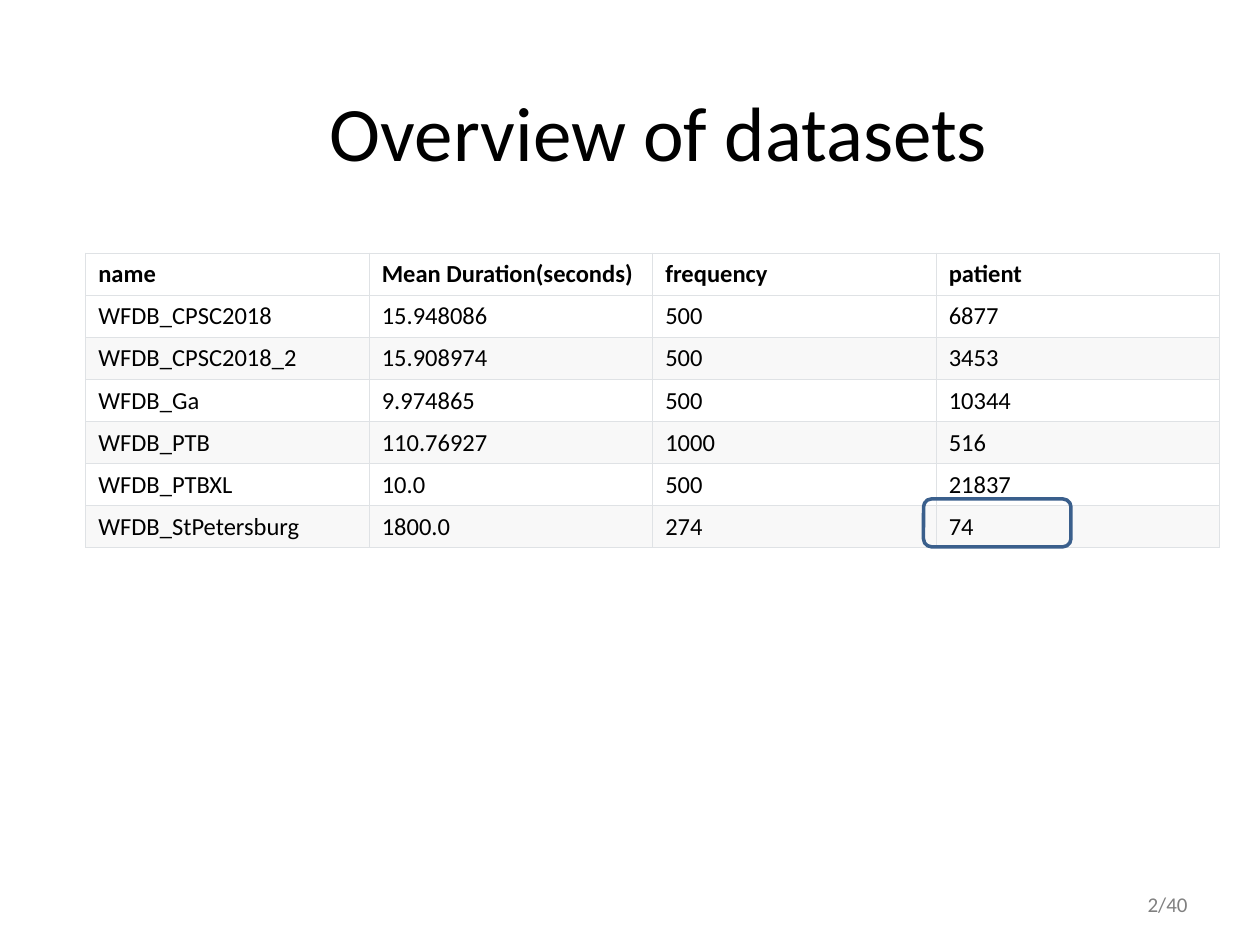
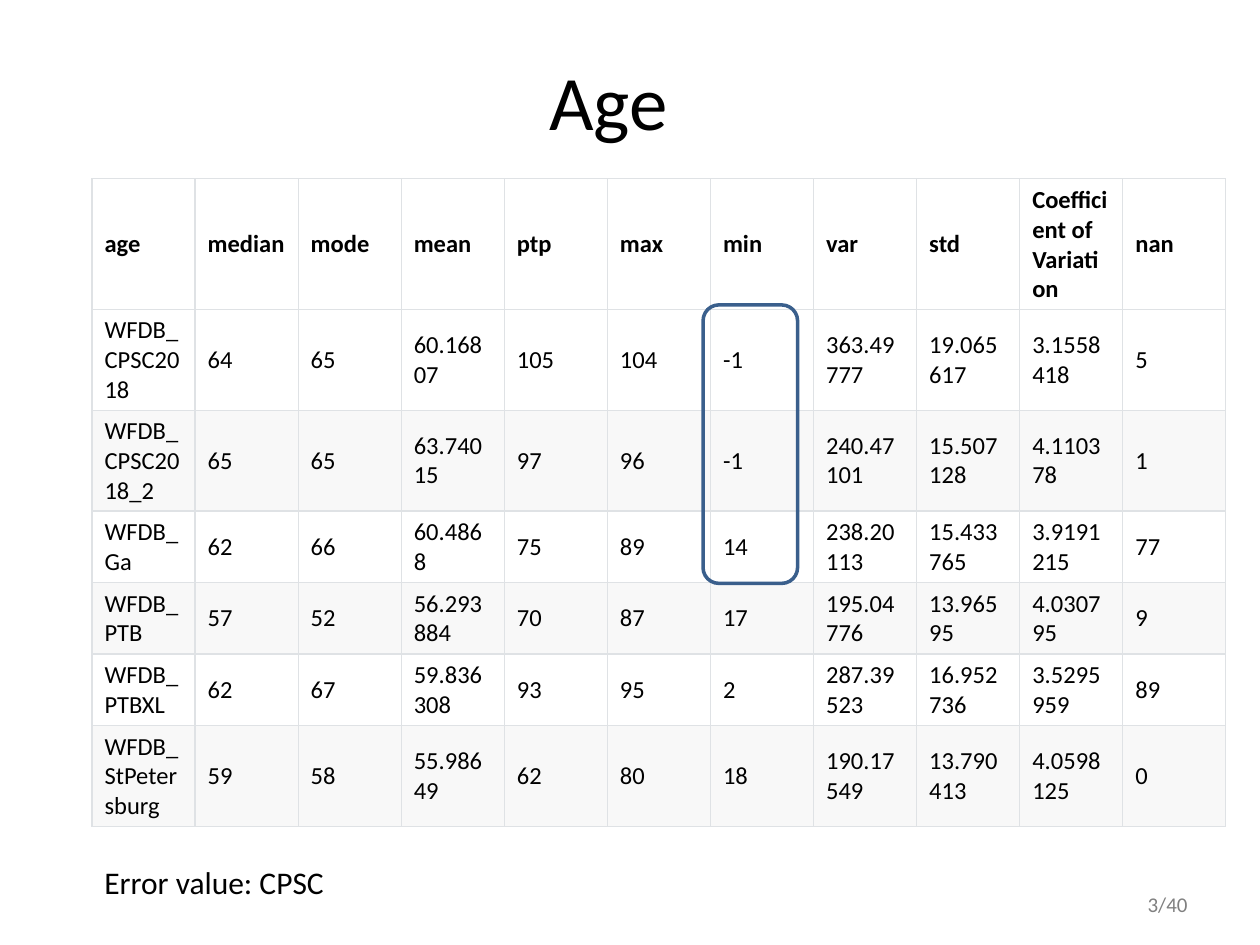
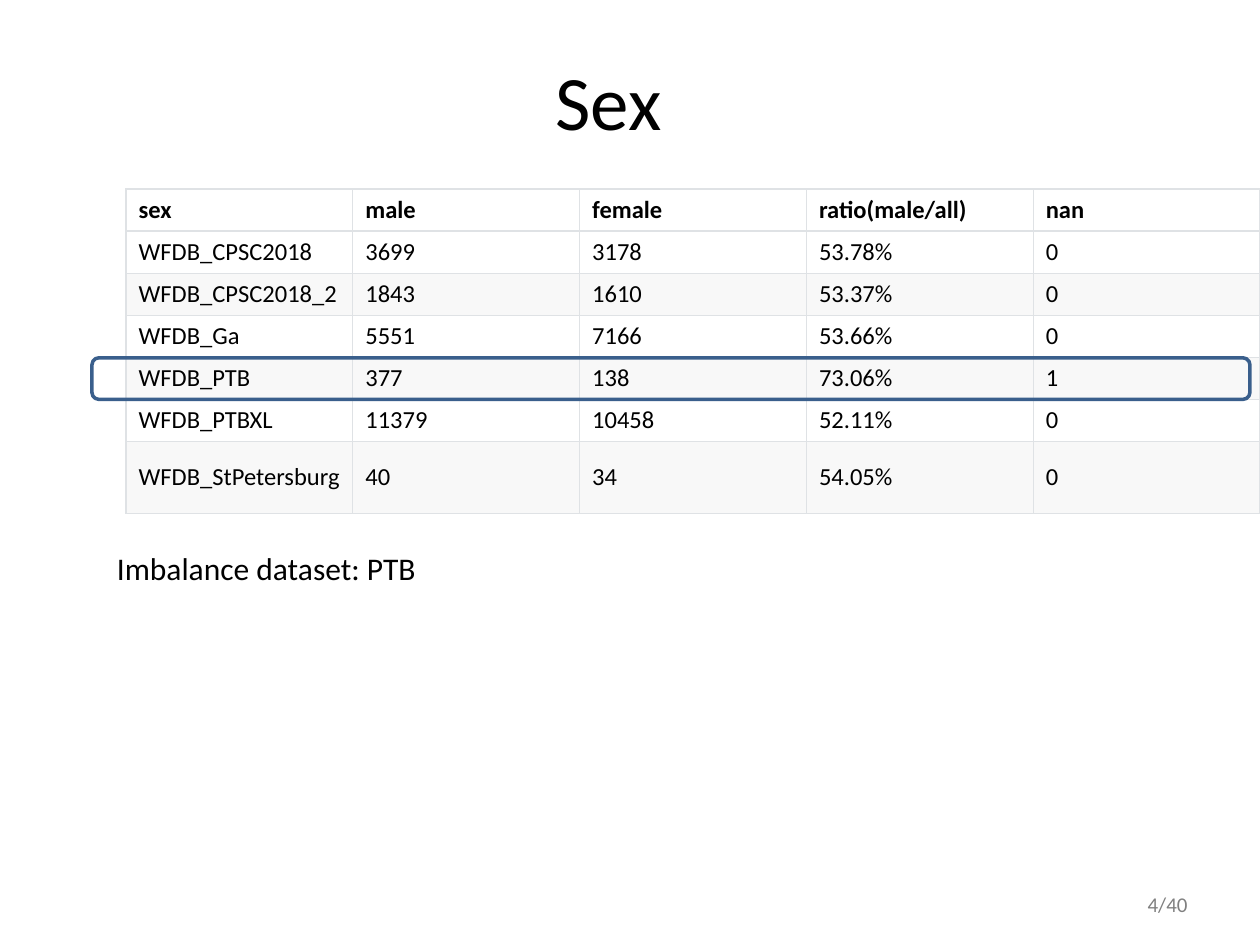
from dataclasses import dataclass

from lxml import etree
from pptx import Presentation
from pptx.dml.color import RGBColor
from pptx.enum import shapes, text
from pptx.oxml import ns
from pptx.util import Inches, Pt


@dataclass(frozen=True)
class Theme:
    font: str = "Calibri"
    ink: str = "000000"
    muted: str = "808080"
    paper: str = "FFFFFF"
    band: str = "F8F8F8"
    grid: str = "DFE2E5"
    accent: str = "3A5F8C"
    title_size: float = 44
    note_size: float = 18
    table_size: float = 14
    page_size: float = 12
    grid_width: float = 0.75
    accent_width: float = 2


@dataclass(frozen=True)
class Box:
    left: float
    top: float
    width: float
    height: float

    def inside(self, outer):
        """Shift this box by the corner of the outer box."""
        return Box(outer.left + self.left, outer.top + self.top, self.width, self.height)

    def lengths(self):
        return [Inches(v) for v in (self.left, self.top, self.width, self.height)]


THEME = Theme()
PAGE_COUNT = 40
PAGE_BOX = Box(9.01, 7.03, 0.64, 0.3)
TITLE_BOX = Box(0.33, 0.17, 9, 1.25)
DATASETS = ["WFDB_CPSC2018", "WFDB_CPSC2018_2", "WFDB_Ga",
            "WFDB_PTB", "WFDB_PTBXL", "WFDB_StPetersburg"]


def style_text(frame, size, color=THEME.ink, bold=False):
    for paragraph in frame.paragraphs:
        for run in paragraph.runs:
            run.font.name = THEME.font
            run.font.size = Pt(size)
            run.font.bold = bold
            run.font.color.rgb = RGBColor.from_string(color)


def add_title(slide, box, wording):
    title = slide.shapes.title
    title.left, title.top, title.width, title.height = box.lengths()
    frame = title.text_frame
    frame.text = wording
    frame.vertical_anchor = text.MSO_ANCHOR.MIDDLE
    frame.paragraphs[0].alignment = text.PP_ALIGN.CENTER
    style_text(frame, THEME.title_size)


def add_label(slide, box, wording, size, color=THEME.ink):
    frame = slide.shapes.add_textbox(*box.lengths()).text_frame
    frame.text = wording
    frame.word_wrap = False
    frame.auto_size = text.MSO_AUTO_SIZE.SHAPE_TO_FIT_TEXT
    style_text(frame, size, color)


def set_borders(cell):
    properties = cell._tc.get_or_add_tcPr()
    for index, side in enumerate(("a:lnL", "a:lnR", "a:lnT", "a:lnB")):
        line = etree.Element(ns.qn(side), w=str(Pt(THEME.grid_width)))
        fill = etree.SubElement(line, ns.qn("a:solidFill"))
        etree.SubElement(fill, ns.qn("a:srgbClr"), val=THEME.grid)
        properties.insert(index, line)


def add_data_table(slide, box, header, values, row_heights):
    rows = [header] + [[name, *row] for name, row in zip(DATASETS, values)]
    table = slide.shapes.add_table(len(rows), len(header), *box.lengths()).table
    table.first_row = table.horz_banding = False
    for column in table.columns:
        column.width = Inches(box.width / len(header))
    for r, (row, height) in enumerate(zip(rows, row_heights)):
        table.rows[r].height = Inches(height)
        shade = THEME.band if r and r % 2 == 0 else THEME.paper
        for c, value in enumerate(row):
            cell = table.cell(r, c)
            cell.text_frame.text = value
            cell.vertical_anchor = text.MSO_ANCHOR.MIDDLE
            cell.fill.solid()
            cell.fill.fore_color.rgb = RGBColor.from_string(shade)
            set_borders(cell)
            style_text(cell.text_frame, THEME.table_size, bold=r == 0)


def add_highlight(slide, box):
    outline = slide.shapes.add_shape(shapes.MSO_SHAPE.ROUNDED_RECTANGLE, *box.lengths())
    outline.shadow.inherit = False
    outline.fill.background()
    outline.line.color.rgb = RGBColor.from_string(THEME.accent)
    outline.line.width = Pt(THEME.accent_width)


def add_dataset_slide(deck, page, title, header, values, corner, row_heights,
                      highlight, note=None, title_box=TITLE_BOX):
    """Lay out one table slide; highlight and note are relative to the table."""
    slide = deck.slides.add_slide(deck.slide_layouts[5])
    add_label(slide, PAGE_BOX, f"{page}/{PAGE_COUNT}", THEME.page_size, THEME.muted)
    add_title(slide, title_box, title)
    table_box = Box(*corner, 9, sum(row_heights))
    add_data_table(slide, table_box, header, values, row_heights)
    add_highlight(slide, highlight.inside(table_box))
    if note:
        wording, note_box = note
        add_label(slide, note_box.inside(table_box), wording, THEME.note_size)


def main():
    deck = Presentation()
    deck.slide_width, deck.slide_height = Inches(10), Inches(7.5)

    # Overview: the smallest dataset is outlined
    add_dataset_slide(
        deck, 2, "Overview of datasets",
        ["name", "Mean Duration(seconds)", "frequency", "patient"],
        [["15.948086", "500", "6877"],
         ["15.908974", "500", "3453"],
         ["9.974865", "500", "10344"],
         ["110.76927", "1000", "516"],
         ["10.0", "500", "21837"],
         ["1800.0", "274", "74"]],
        corner=(0.68, 2.01), row_heights=[0.33] * 7,
        highlight=Box(6.65, 1.95, 1.17, 0.38),
        title_box=Box(0.73, 0.41, 9, 1.25))

    # Age: the suspicious minimum values are outlined
    add_dataset_slide(
        deck, 3, "Age",
        ["age", "median", "mode", "mean", "ptp", "max", "min", "var", "std",
         "Coefficient of Variation", "nan"],
        [["64", "65", "60.16807", "105", "104", "-1", "363.49777", "19.065617", "3.1558418", "5"],
         ["65", "65", "63.74015", "97", "96", "-1", "240.47101", "15.507128", "4.110378", "1"],
         ["62", "66", "60.4868", "75", "89", "14", "238.20113", "15.433765", "3.9191215", "77"],
         ["57", "52", "56.293884", "70", "87", "17", "195.04776", "13.96595", "4.030795", "9"],
         ["62", "67", "59.836308", "93", "95", "2", "287.39523", "16.952736", "3.5295959", "89"],
         ["59", "58", "55.98649", "62", "80", "18", "190.17549", "13.790413", "4.0598125", "0"]],
        corner=(0.73, 1.42), row_heights=[1.01, 0.78, 0.78, 0.55, 0.55, 0.55, 0.78],
        highlight=Box(4.85, 1, 0.75, 2.21),
        note=("Error value: CPSC", Box(0, 5.38, 1.96, 0.4)))

    # Sex: the unbalanced dataset is outlined
    add_dataset_slide(
        deck, 4, "Sex",
        ["sex", "male", "female", "ratio(male/all)", "nan"],
        [["3699", "3178", "53.78%", "0"],
         ["1843", "1610", "53.37%", "0"],
         ["5551", "7166", "53.66%", "0"],
         ["377", "138", "73.06%", "1"],
         ["11379", "10458", "52.11%", "0"],
         ["40", "34", "54.05%", "0"]],
        corner=(1, 1.5), row_heights=[0.33] * 6 + [0.57],
        highlight=Box(-0.27, 1.34, 9.19, 0.33),
        note=("Imbalance dataset: PTB", Box(-0.17, 2.81, 2.6, 0.4)))

    deck.save("out.pptx")


if __name__ == "__main__":
    main()
